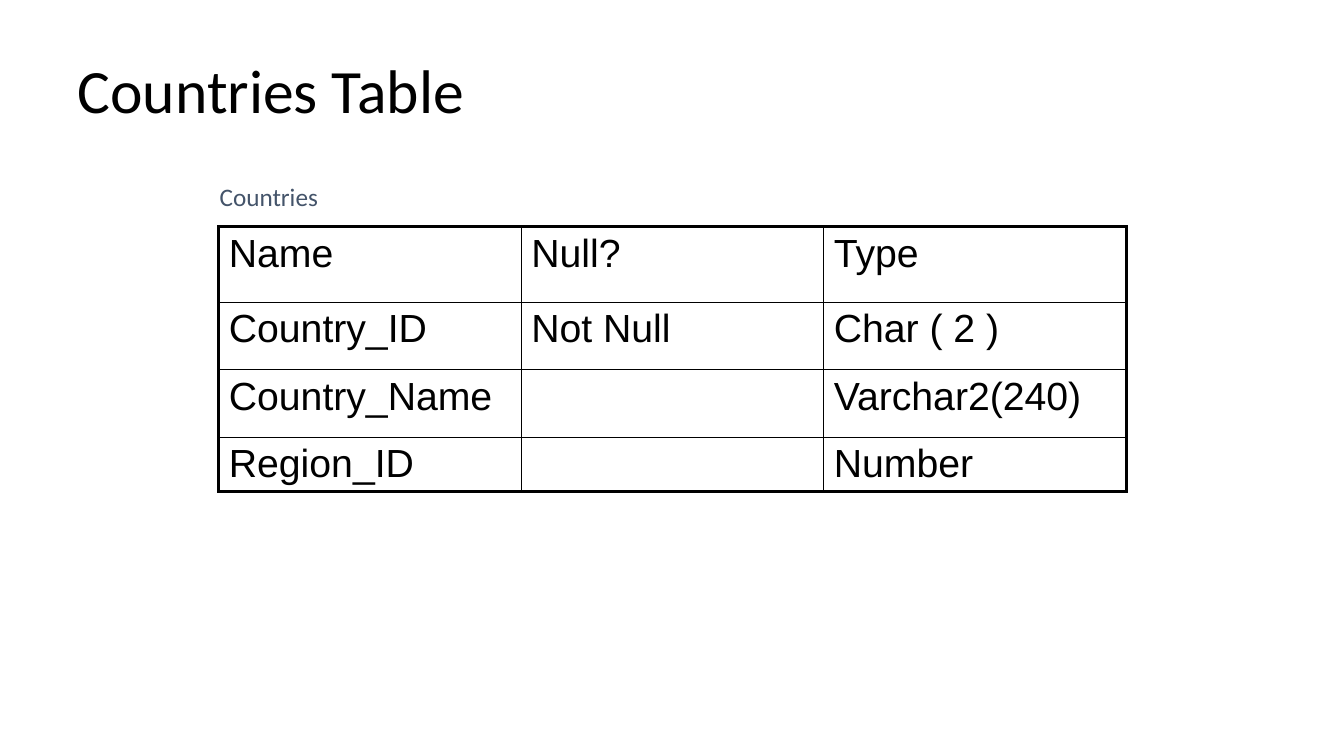
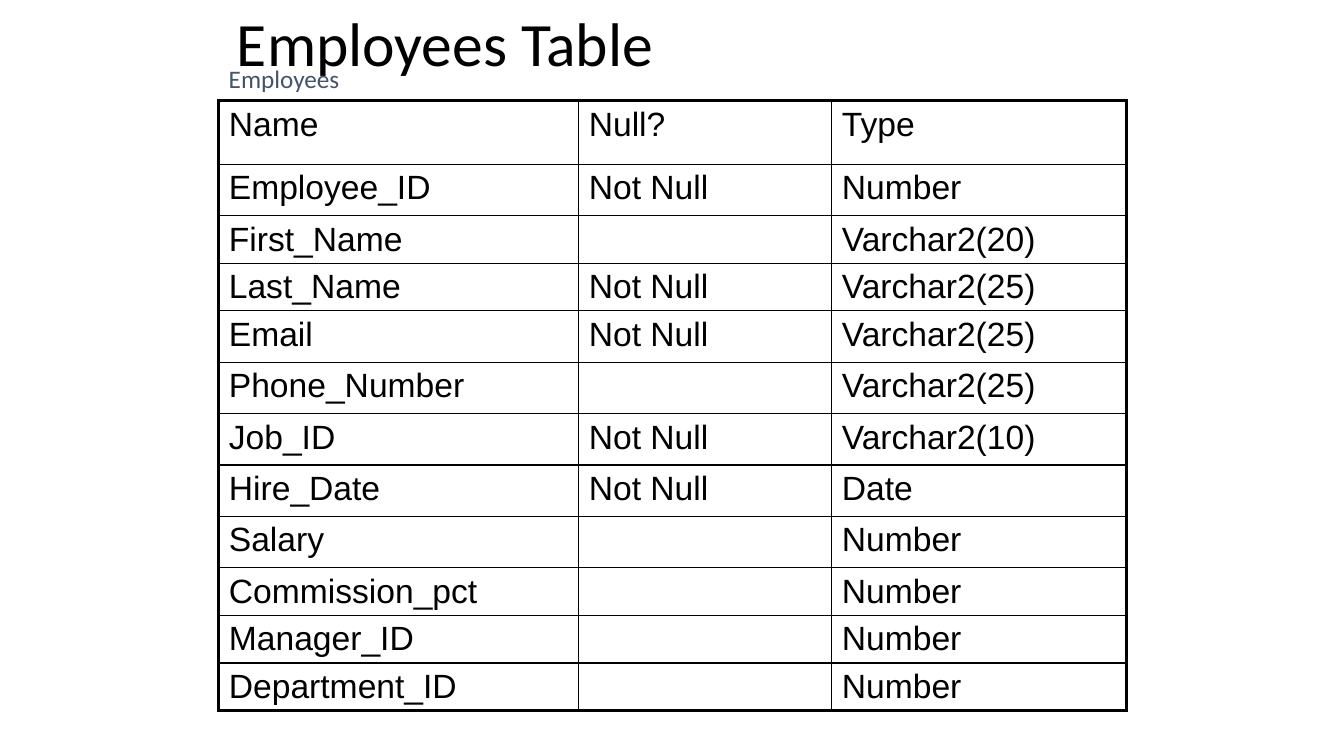
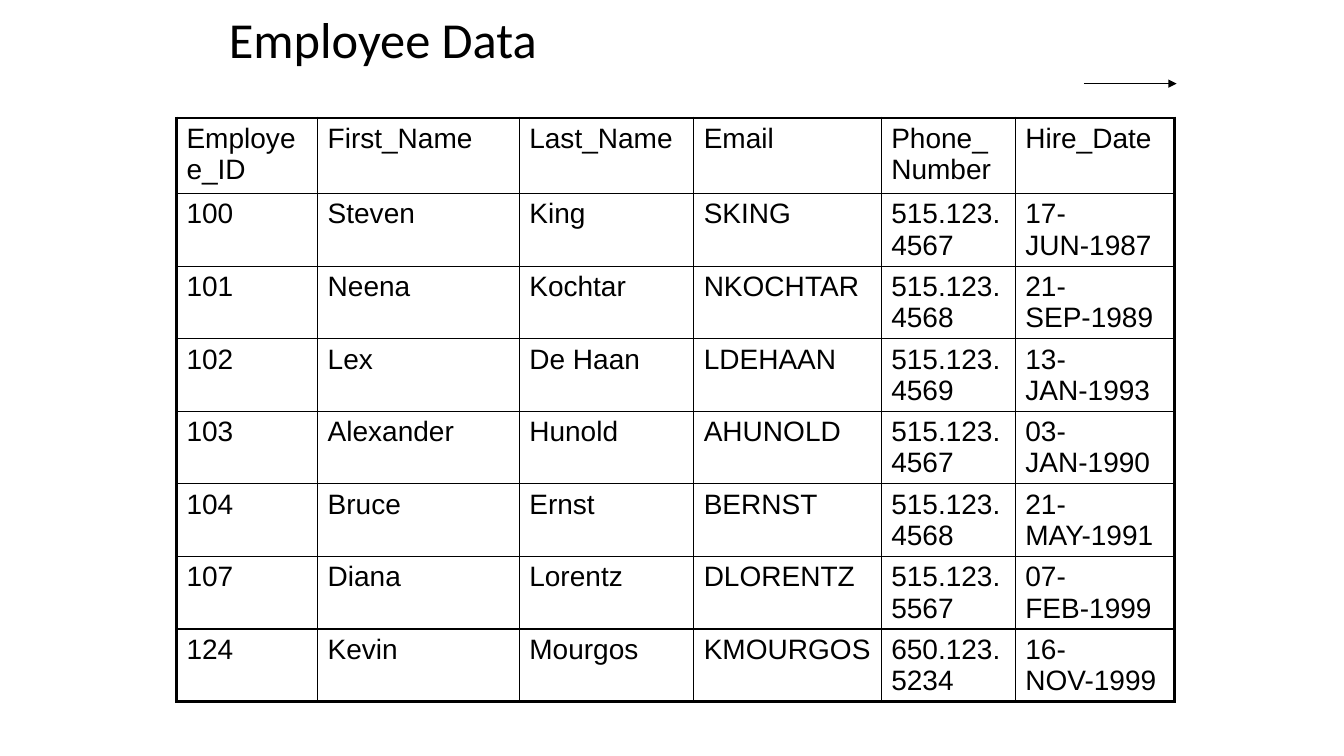
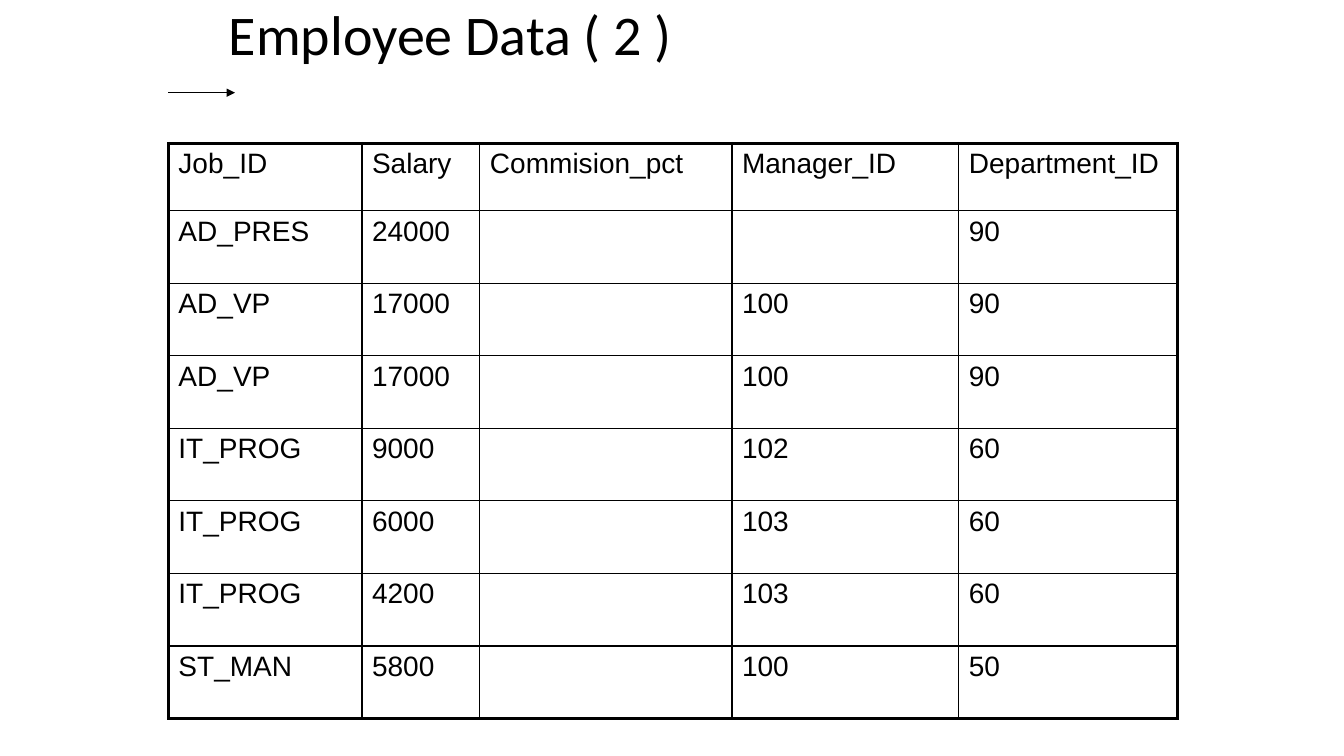
from dataclasses import dataclass
from typing import Optional

import pptx
import pptx.dml.color
import pptx.enum.shapes
import pptx.enum.text
import pptx.oxml
import pptx.oxml.ns
import pptx.util
from pptx.util import Inches


@dataclass(frozen=True)
class Theme:
    ink: str = "000000"
    caption_ink: str = "44546A"
    heading_font: str = "Calibri"
    table_font: str = "Arial"
    title: float = 44
    title_medium: float = 40
    title_small: float = 36
    caption: float = 18
    table_large: float = 28
    table_medium: float = 24
    table_small: float = 20
    outer_border: float = 2.25
    inner_border: float = 1
    arrow: float = 0.75


THEME = Theme()


@dataclass(frozen=True)
class Box:
    left: float
    top: float
    width: float
    height: float

    def lengths(self) -> tuple:
        return tuple(Inches(v) for v in (self.left, self.top, self.width, self.height))


@dataclass(frozen=True)
class Grid:
    left: float
    top: float
    column_widths: list[float]
    row_heights: list[float]
    text_size: float
    rows: list[tuple[str, ...]]


@dataclass(frozen=True)
class Caption:
    text: str
    box: Box


@dataclass(frozen=True)
class Arrow:
    start: float
    end: float
    height: float


@dataclass(frozen=True)
class Page:
    title: str
    title_box: Box
    title_size: float
    grid: Grid
    caption: Optional[Caption] = None
    arrow: Optional[Arrow] = None


COLUMN_HEADINGS = ("Name", "Null?", "Type")

PAGES = [
    Page(
        "Countries Table", Box(0.67, 0.3, 12, 1.25), THEME.title,
        Grid(2.17, 2.25, [3] * 3, [0.75, 0.67, 0.67, 0.54], THEME.table_large, [
            COLUMN_HEADINGS,
            ("Country_ID", "Not Null", "Char ( 2 )"),
            ("Country_Name", "", "Varchar2(240)"),
            ("Region_ID", "", "Number"),
        ]),
        caption=Caption("Countries", Box(2.08, 1.75, 1.75, 0.4)),
    ),
    Page(
        "Employees Table", Box(2.25, 0, 9, 0.92), THEME.title,
        Grid(2.17, 1, [3.57, 2.51, 2.92],
             [0.63, 0.51] + [0.47] * 2 + [0.51] * 5 + [0.47] * 3,
             THEME.table_medium, [
            COLUMN_HEADINGS,
            ("Employee_ID", "Not Null", "Number"),
            ("First_Name", "", "Varchar2(20)"),
            ("Last_Name", "Not Null", "Varchar2(25)"),
            ("Email", "Not Null", "Varchar2(25)"),
            ("Phone_Number", "", "Varchar2(25)"),
            ("Job_ID", "Not Null", "Varchar2(10)"),
            ("Hire_Date", "Not Null", "Date"),
            ("Salary", "", "Number"),
            ("Commission_pct", "", "Number"),
            ("Manager_ID", "", "Number"),
            ("Department_ID", "", "Number"),
        ]),
        caption=Caption("Employees", Box(2.17, 0.58, 1.31, 0.4)),
    ),
    Page(
        "Employee Data", Box(2.17, 0.08, 9, 0.67), THEME.title_small,
        Grid(1.75, 1.17, [1.4, 2, 1.73, 1.86, 1.33, 1.58], [0.75] + [0.72] * 7,
             THEME.table_small, [
            ("Employee_ID", "First_Name", "Last_Name", "Email", "Phone_Number", "Hire_Date"),
            ("100", "Steven", "King", "SKING", "515.123.4567", "17-JUN-1987"),
            ("101", "Neena", "Kochtar", "NKOCHTAR", "515.123.4568", "21-SEP-1989"),
            ("102", "Lex", "De Haan", "LDEHAAN", "515.123.4569", "13-JAN-1993"),
            ("103", "Alexander", "Hunold", "AHUNOLD", "515.123.4567", "03-JAN-1990"),
            ("104", "Bruce", "Ernst", "BERNST", "515.123.4568", "21-MAY-1991"),
            ("107", "Diana", "Lorentz", "DLORENTZ", "515.123.5567", "07-FEB-1999"),
            ("124", "Kevin", "Mourgos", "KMOURGOS", "650.123.5234", "16-NOV-1999"),
        ]),
        arrow=Arrow(10.75, 11.67, 0.83),
    ),
    Page(
        "Employee Data ( 2 )", Box(2.17, 0, 9, 0.75), THEME.title_medium,
        Grid(1.67, 1.42, [1.92, 1.17, 2.5, 2.25, 2.17], [0.67] + [0.72] * 7,
             THEME.table_small, [
            ("Job_ID", "Salary", "Commision_pct", "Manager_ID", "Department_ID"),
            ("AD_PRES", "24000", "", "", "90"),
            ("AD_VP", "17000", "", "100", "90"),
            ("AD_VP", "17000", "", "100", "90"),
            ("IT_PROG", "9000", "", "102", "60"),
            ("IT_PROG", "6000", "", "103", "60"),
            ("IT_PROG", "4200", "", "103", "60"),
            ("ST_MAN", "5800", "", "100", "50"),
        ]),
        arrow=Arrow(1.67, 2.33, 0.92),
    ),
]


def rgb(value: str) -> pptx.dml.color.RGBColor:
    return pptx.dml.color.RGBColor.from_string(value)


def write_text(frame, text: str, *, size: float, font: str = THEME.heading_font,
               color: str = THEME.ink, line_spacing: Optional[float] = None) -> None:
    paragraph = frame.paragraphs[0]
    paragraph.alignment = pptx.enum.text.PP_ALIGN.LEFT
    paragraph.line_spacing = line_spacing
    run = paragraph.add_run()
    run.text = text
    run.font.size = pptx.util.Pt(size)
    run.font.name = font
    run.font.color.rgb = rgb(color)


def add_title(slide, page: Page) -> None:
    title = slide.shapes.title
    title.left, title.top, title.width, title.height = page.title_box.lengths()
    frame = title.text_frame
    frame.auto_size = pptx.enum.text.MSO_AUTO_SIZE.NONE
    frame.vertical_anchor = pptx.enum.text.MSO_ANCHOR.MIDDLE
    write_text(frame, page.title, size=page.title_size, line_spacing=0.9)


def set_border(cell, side: str, width: float) -> None:
    """Add one cell edge; side is L, R, T or B, added in that order."""
    border = pptx.oxml.parse_xml(
        f'<a:ln{side} {pptx.oxml.ns.nsdecls("a")} w="{pptx.util.Pt(width)}">'
        f'<a:solidFill><a:srgbClr val="{THEME.ink}"/></a:solidFill></a:ln{side}>'
    )
    cell._tc.get_or_add_tcPr().append(border)


def add_grid(slide, grid: Grid) -> None:
    box = Box(grid.left, grid.top, sum(grid.column_widths), sum(grid.row_heights))
    last_row, last_column = len(grid.rows) - 1, len(grid.column_widths) - 1
    table = slide.shapes.add_table(last_row + 1, last_column + 1, *box.lengths()).table
    table.first_row = table.horz_banding = False
    for column, width in zip(table.columns, grid.column_widths):
        column.width = Inches(width)
    for row, height in zip(table.rows, grid.row_heights):
        row.height = Inches(height)
    for r, values in enumerate(grid.rows):
        for c, value in enumerate(values):
            cell = table.cell(r, c)
            outer_edges = {"L": c == 0, "R": c == last_column, "T": r == 0, "B": r == last_row}
            for side, is_outer in outer_edges.items():
                set_border(cell, side, THEME.outer_border if is_outer else THEME.inner_border)
            cell.fill.background()
            if value:
                write_text(cell.text_frame, value, size=grid.text_size, font=THEME.table_font)


def add_caption(slide, caption: Caption) -> None:
    frame = slide.shapes.add_textbox(*caption.box.lengths()).text_frame
    frame.word_wrap = False
    write_text(frame, caption.text, size=THEME.caption, color=THEME.caption_ink)


def add_arrow(slide, arrow: Arrow) -> None:
    connector = slide.shapes.add_connector(
        pptx.enum.shapes.MSO_CONNECTOR.STRAIGHT,
        Inches(arrow.start), Inches(arrow.height), Inches(arrow.end), Inches(arrow.height),
    )
    connector.line.color.rgb = rgb(THEME.ink)
    connector.line.width = pptx.util.Pt(THEME.arrow)
    namespace = pptx.oxml.ns.nsdecls("a")
    connector.line._get_or_add_ln().append(
        pptx.oxml.parse_xml(f'<a:tailEnd {namespace} type="triangle"/>'))
    connector._element.spPr.append(pptx.oxml.parse_xml(f"<a:effectLst {namespace}/>"))


def main() -> None:
    presentation = pptx.Presentation()
    presentation.slide_width, presentation.slide_height = Inches(13.33), Inches(7.5)
    title_only = presentation.slide_layouts.get_by_name("Title Only")
    for page in PAGES:
        slide = presentation.slides.add_slide(title_only)
        add_title(slide, page)
        add_grid(slide, page.grid)
        if page.caption:
            add_caption(slide, page.caption)
        if page.arrow:
            add_arrow(slide, page.arrow)
    presentation.save("out.pptx")


if __name__ == "__main__":
    main()
